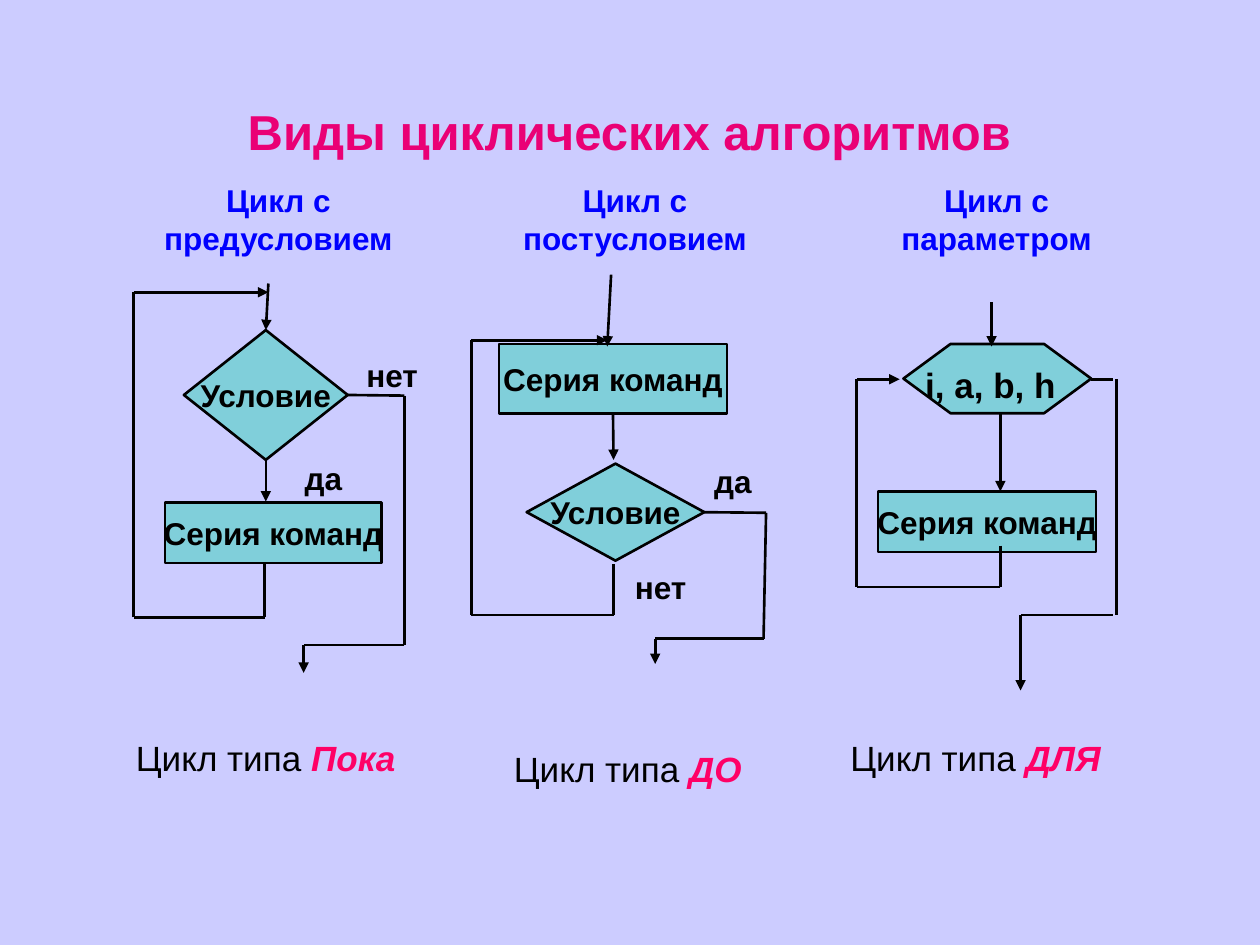
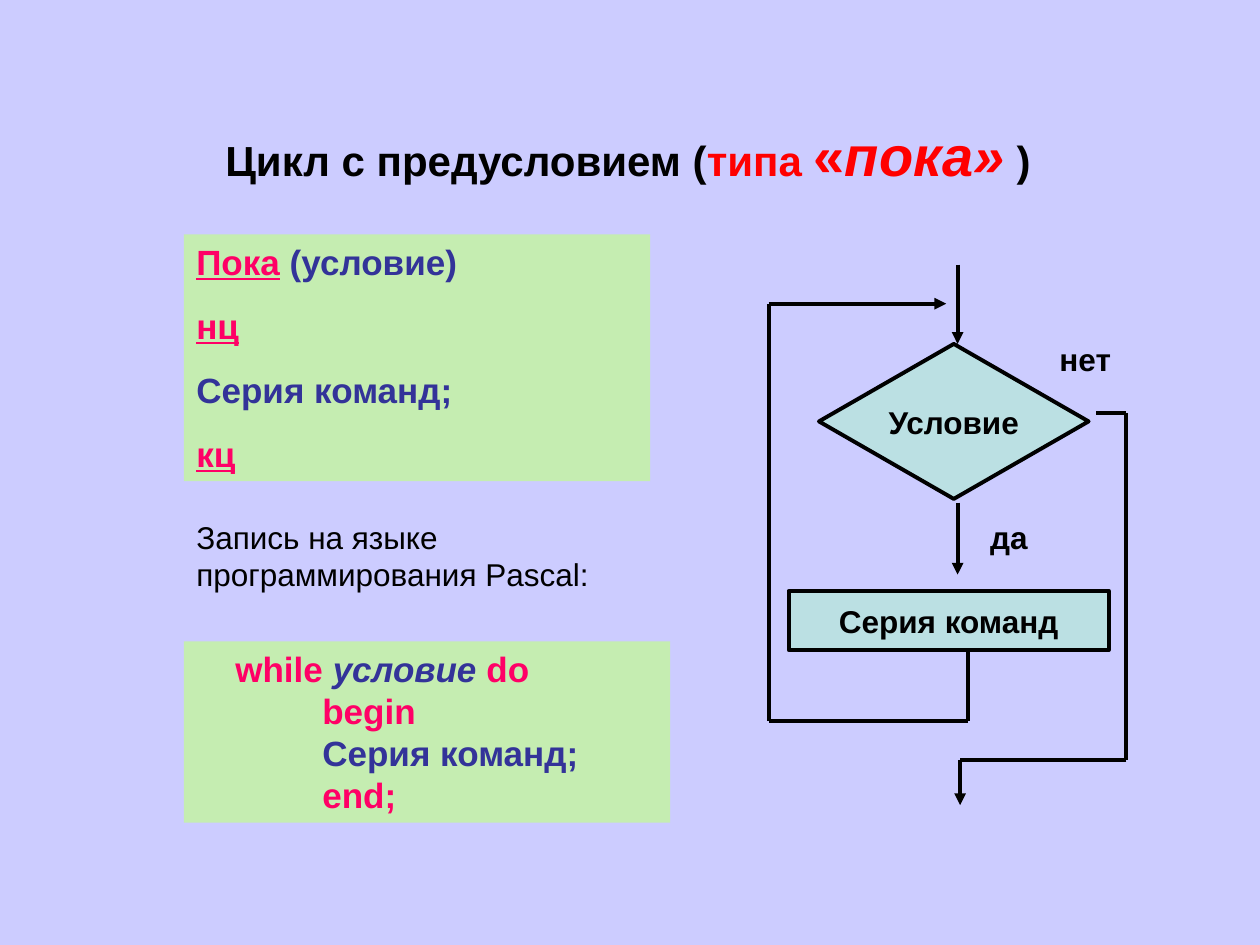
from lxml.etree import SubElement
from pptx import Presentation
from pptx.dml.color import RGBColor
from pptx.enum.shapes import MSO_CONNECTOR, MSO_SHAPE
from pptx.enum.text import MSO_ANCHOR, MSO_AUTO_SIZE, PP_ALIGN
from pptx.oxml.ns import qn
from pptx.util import Inches, Pt

FONT = "Arial"
BLACK = RGBColor(0x00, 0x00, 0x00)
LAVENDER = RGBColor(0xCC, 0xCC, 0xFF)
MAGENTA = RGBColor(0xEA, 0x00, 0x75)
PINK = RGBColor(0xFF, 0x00, 0x66)
RED = RGBColor(0xFF, 0x00, 0x00)
BLUE = RGBColor(0x00, 0x00, 0xFF)
INDIGO = RGBColor(0x33, 0x33, 0x99)
TEAL = RGBColor(0x80, 0xCF, 0xDA)
PALE_TEAL = RGBColor(0xBB, 0xE0, 0xE3)
LIGHT_GREEN = RGBColor(0xC5, 0xED, 0xB1)

TOP, BOTTOM, RIGHT = 0, 2, 3

TITLE = {"size": Pt(28), "bold": True, "color": MAGENTA}
HEADING = {"size": Pt(18), "bold": True, "color": BLUE}
LABEL = {"size": Pt(18), "bold": True, "color": BLACK}
NOTE = {"size": Pt(18), "color": BLACK}
CAPTION = {"size": Pt(20), "color": BLACK}
LOOP_NAME = {"size": Pt(20), "bold": True, "italic": True, "color": PINK}
KEYWORD = {"size": Pt(20), "bold": True, "color": PINK}
UNDERLINED = {**KEYWORD, "underline": True}
CODE = {**KEYWORD, "color": INDIGO}
SUBTITLE = {"size": Pt(24), "bold": True, "color": BLACK}


def write_paragraphs(frame, paragraphs, **paragraph_format):
    """Fill a text frame; each paragraph is a list of (text, format) runs."""
    for index, runs in enumerate(paragraphs):
        paragraph = frame.paragraphs[0] if index == 0 else frame.add_paragraph()
        for name, value in paragraph_format.items():
            setattr(paragraph, name, value)
        for text, run_format in runs:
            run = paragraph.add_run()
            run.text = text
            run.font.name = FONT
            for name, value in run_format.items():
                if name == "color":
                    run.font.color.rgb = value
                else:
                    setattr(run.font, name, value)


def add_text(slide, box, paragraphs, fill=None, **paragraph_format):
    shape = slide.shapes.add_textbox(*map(Inches, box))
    frame = shape.text_frame
    frame.word_wrap = True
    frame.auto_size = MSO_AUTO_SIZE.SHAPE_TO_FIT_TEXT
    if fill is not None:
        shape.fill.solid()
        shape.fill.fore_color.rgb = fill
    write_paragraphs(frame, paragraphs, **paragraph_format)
    return shape


def add_block(slide, kind, box, runs, fill=TEAL, weight=1.5):
    """Add an outlined flowchart block with centred text."""
    shape = slide.shapes.add_shape(kind, *map(Inches, box))
    shape.shadow.inherit = False
    shape.fill.solid()
    shape.fill.fore_color.rgb = fill
    shape.line.color.rgb = BLACK
    shape.line.width = Pt(weight)
    frame = shape.text_frame
    frame.word_wrap = False
    frame.vertical_anchor = MSO_ANCHOR.MIDDLE
    write_paragraphs(frame, [runs], alignment=PP_ALIGN.CENTER)
    return shape


def add_condition(slide, box, **style):
    return add_block(slide, MSO_SHAPE.DIAMOND, box, [("Условие", LABEL)], **style)


def add_commands(slide, box, **style):
    return add_block(slide, MSO_SHAPE.RECTANGLE, box, [("Серия команд", LABEL)], **style)


def add_route(slide, points, arrow=True, weight=1.5, start=None, end=None):
    """Join points by straight lines; start and end are (shape, side) joints."""
    segments = list(zip(points, points[1:]))
    for index, (origin, target) in enumerate(segments):
        is_last = index == len(segments) - 1
        connector = slide.shapes.add_connector(
            MSO_CONNECTOR.STRAIGHT, *map(Inches, origin + target))
        connector.line.color.rgb = BLACK
        connector.line.width = Pt(weight)
        if index == 0 and start:
            connector.begin_connect(*start)
        if is_last and end:
            connector.end_connect(*end)
        if is_last and arrow:
            line = connector.line._get_or_add_ln()
            SubElement(line, qn("a:tailEnd"), type="triangle")
        SubElement(connector._element.spPr, qn("a:effectLst"))


def add_labels(slide, labels):
    for text, box in labels:
        add_text(slide, box, [[(text, LABEL)]])


def draw_while_loop(slide):
    condition = add_condition(slide, (1.46, 2.62, 1.3, 1.03))
    add_commands(slide, (1.31, 3.99, 1.72, 0.48))
    add_route(slide, [(2.13, 2.25), (2.11, 2.62)], end=(condition, TOP))
    add_route(slide, [(2.11, 3.65), (2.11, 3.98)], start=(condition, BOTTOM))
    add_route(slide, [(2.1, 4.47), (2.1, 4.9), (1.06, 4.9), (1.06, 2.32), (2.13, 2.32)])
    add_route(slide, [(2.76, 3.14), (3.21, 3.14), (3.21, 5.12), (2.41, 5.12), (2.41, 5.34)],
              start=(condition, RIGHT))
    add_labels(slide, [("да", (2.32, 3.59, 0.69, 0.4)), ("нет", (2.81, 2.78, 0.73, 0.4))])


def draw_until_loop(slide):
    condition = add_condition(slide, (4.18, 3.68, 1.41, 0.77))
    commands = add_commands(slide, (3.96, 2.73, 1.81, 0.55))
    add_route(slide, [(4.85, 2.18), (4.82, 2.75)])
    add_route(slide, [(4.87, 3.28), (4.87, 3.65)], start=(commands, BOTTOM))
    add_route(slide, [(4.87, 4.48), (4.87, 4.88), (3.74, 4.88), (3.74, 2.7), (4.82, 2.7)])
    add_route(slide, [(5.59, 4.07), (6.08, 4.07), (6.06, 5.07), (5.2, 5.07), (5.2, 5.27)],
              start=(condition, RIGHT))
    add_labels(slide, [("да", (5.57, 3.62, 0.65, 0.4)), ("нет", (4.94, 4.46, 0.79, 0.4))])


def draw_for_loop(slide):
    add_commands(slide, (6.97, 3.9, 1.73, 0.48))
    counter = add_block(slide, MSO_SHAPE.HEXAGON, (7.17, 2.73, 1.49, 0.55),
                        [("i, a, b, h", {**LABEL, "size": Pt(20)}),
                         (" ", {**LABEL, "size": Pt(28)})])
    counter.adjustments[0] = 0.68
    add_route(slide, [(7.87, 2.4), (7.87, 2.75)])
    add_route(slide, [(7.94, 3.28), (7.94, 3.9)])
    add_route(slide, [(7.94, 4.33), (7.94, 4.66), (6.8, 4.66), (6.8, 3.01), (7.14, 3.01)])
    add_route(slide, [(8.66, 3.01), (8.83, 3.01)], arrow=False)
    add_route(slide, [(8.86, 3.01), (8.86, 4.88)], arrow=False)
    add_route(slide, [(8.83, 4.88), (8.1, 4.88), (8.1, 5.48)])


def build_loop_kinds(slide):
    add_text(slide, (1.61, 0.76, 6.77, 0.57), [[("Виды циклических алгоритмов", TITLE)]],
             alignment=PP_ALIGN.CENTER)
    for condition_name, left, width in [("предусловием", 0.83, 2.76),
                                        ("постусловием", 3.66, 2.76),
                                        ("параметром", 6.73, 2.36)]:
        add_text(slide, (left, 1.39, width, 0.7), [[(f"Цикл с {condition_name}", HEADING)]],
                 alignment=PP_ALIGN.CENTER)
    draw_while_loop(slide)
    draw_until_loop(slide)
    draw_for_loop(slide)
    for loop_name, box in [("Пока", (0.98, 5.8, 2.6, 0.44)),
                           ("ДО", (3.98, 5.88, 2.76, 0.44)),
                           ("ДЛЯ", (6.65, 5.8, 2.28, 0.44))]:
        add_text(slide, box, [[("Цикл типа ", CAPTION), (loop_name, LOOP_NAME)]])


def draw_large_while_loop(slide):
    style = {"fill": PALE_TEAL, "weight": 2.25}
    add_condition(slide, (6.5, 2.73, 2.14, 1.23), **style)
    add_commands(slide, (6.26, 4.69, 2.54, 0.47), **style)
    for points in [
        [(7.6, 2.1), (7.6, 2.73)],
        [(7.6, 3.99), (7.6, 4.56)],
        [(7.68, 5.17), (7.68, 5.72), (6.1, 5.72), (6.1, 2.41), (7.51, 2.41)],
        [(8.7, 3.28), (8.94, 3.28), (8.94, 6.03), (7.62, 6.03), (7.62, 6.39)],
    ]:
        add_route(slide, points, weight=style["weight"])
    add_labels(slide, [("да", (7.76, 4.06, 0.74, 0.4)), ("нет", (8.31, 2.65, 0.95, 0.4))])


def build_while_syntax(slide):
    red = {**SUBTITLE, "color": RED}
    large_red = {**red, "size": Pt(32)}
    add_text(slide, (1.69, 0.91, 6.93, 0.64), [[
        ("Цикл с предусловием (", SUBTITLE), ("типа ", red), ("«", large_red),
        ("пока»", {**large_red, "italic": True}), (" )", SUBTITLE)]])
    add_text(slide, (1.46, 1.86, 3.7, 1.96), [
        [("Пока", UNDERLINED), (" ", KEYWORD), ("(условие)", CODE)],
        [("нц", UNDERLINED)],
        [("Серия команд;", CODE)],
        [("кц", UNDERLINED)],
    ], fill=LIGHT_GREEN, space_before=Pt(12.5))
    add_text(slide, (1.46, 4.06, 3.47, 0.7),
             [[("Запись на языке программирования Pascal:", NOTE)]])
    pascal = add_text(slide, (1.46, 5.09, 3.86, 1.44), [
        [("while ", KEYWORD), ("условие ", {**CODE, "italic": True}), ("do", KEYWORD)],
        [("begin", KEYWORD)],
        [("Серия команд;", CODE)],
        [("end;", KEYWORD)],
    ], fill=LIGHT_GREEN)
    for paragraph, indent in zip(pascal.text_frame.paragraphs, (0.31, 1, 1, 1)):
        paragraph._p.get_or_add_pPr().set("marL", str(Inches(indent)))
    draw_large_while_loop(slide)


def main():
    presentation = Presentation()
    presentation.slide_width = Inches(10)
    presentation.slide_height = Inches(7.5)
    background = presentation.slide_master.background.fill
    background.solid()
    background.fore_color.rgb = LAVENDER
    blank_layout = presentation.slide_layouts[6]
    for build in (build_loop_kinds, build_while_syntax):
        build(presentation.slides.add_slide(blank_layout))
    presentation.save("out.pptx")


if __name__ == "__main__":
    main()
